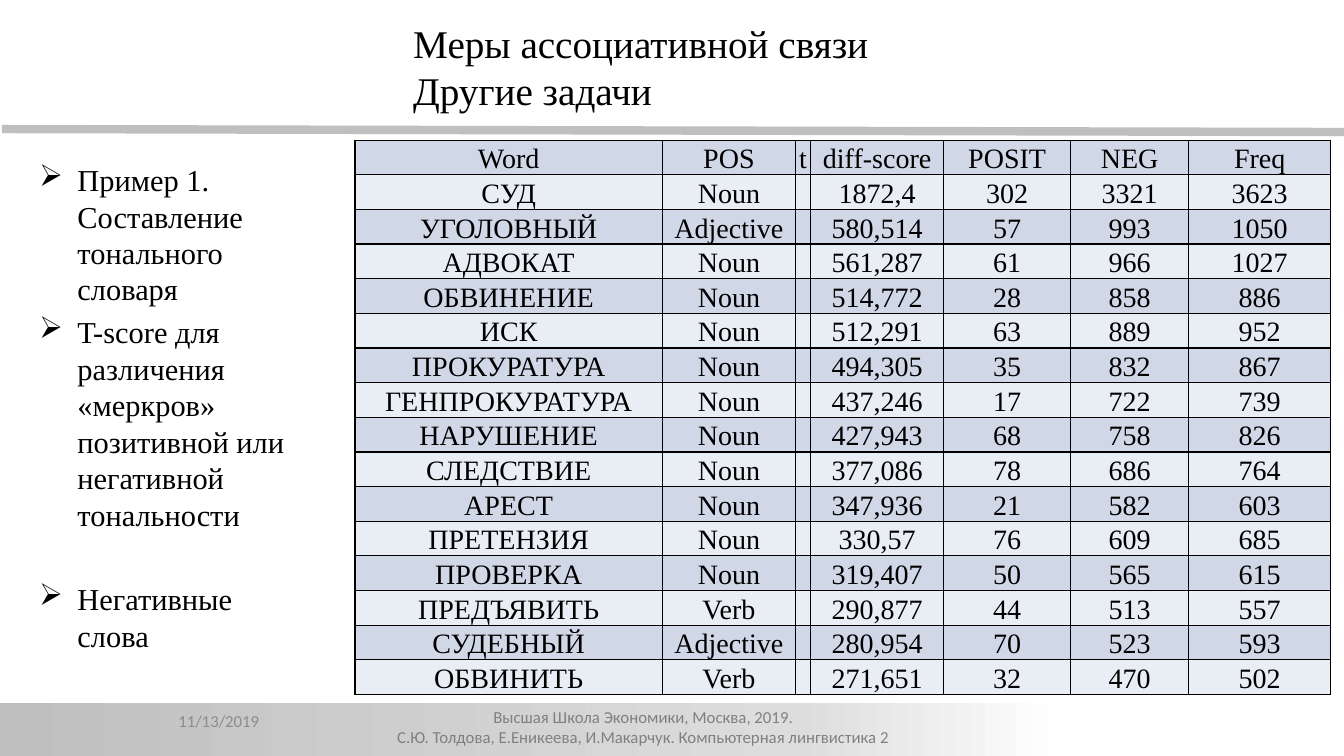
from copy import deepcopy

from lxml.etree import SubElement
from pptx import Presentation
from pptx.dml.color import RGBColor
from pptx.enum.shapes import MSO_CONNECTOR, MSO_SHAPE
from pptx.enum.text import MSO_ANCHOR, PP_ALIGN
from pptx.oxml.ns import qn
from pptx.util import Inches, Pt

COLORS = {
    "text": "000000",
    "rule": "BFBFBF",
    "band_middle": "DDDDDD",
    "band_end": "FFFFFF",
    "footer": "808080",
    "date": "8C8C8C",
    "odd_row": "D0D8E8",
    "even_row": "E9EDF4",
}
SERIF = "Times New Roman"
SANS = "Calibri"

COLUMN_WIDTHS = [3.05, 1.32, 0.15, 1.32, 1.26, 1.17, 1.41]
ROW_HEIGHT = 0.34
SCORES = [
    ("Word", "POS", "t", "diff-score", "POSIT", "NEG", "Freq"),
    ("СУД", "Noun", "", "1872,4", "302", "3321", "3623"),
    ("УГОЛОВНЫЙ", "Adjective", "", "580,514", "57", "993", "1050"),
    ("АДВОКАТ", "Noun", "", "561,287", "61", "966", "1027"),
    ("ОБВИНЕНИЕ", "Noun", "", "514,772", "28", "858", "886"),
    ("ИСК", "Noun", "", "512,291", "63", "889", "952"),
    ("ПРОКУРАТУРА", "Noun", "", "494,305", "35", "832", "867"),
    ("ГЕНПРОКУРАТУРА", "Noun", "", "437,246", "17", "722", "739"),
    ("НАРУШЕНИЕ", "Noun", "", "427,943", "68", "758", "826"),
    ("СЛЕДСТВИЕ", "Noun", "", "377,086", "78", "686", "764"),
    ("АРЕСТ", "Noun", "", "347,936", "21", "582", "603"),
    ("ПРЕТЕНЗИЯ", "Noun", "", "330,57", "76", "609", "685"),
    ("ПРОВЕРКА", "Noun", "", "319,407", "50", "565", "615"),
    ("ПРЕДЪЯВИТЬ", "Verb", "", "290,877", "44", "513", "557"),
    ("СУДЕБНЫЙ", "Adjective", "", "280,954", "70", "523", "593"),
    ("ОБВИНИТЬ", "Verb", "", "271,651", "32", "470", "502"),
]


def rgb(name):
    return RGBColor.from_string(COLORS[name])


class SlideBuilder:
    def __init__(self, slide):
        self.slide = slide

    def style(self, paragraph, size, font=SERIF, color="text", align=PP_ALIGN.LEFT):
        paragraph.alignment = align
        paragraph.font.size = Pt(size)
        paragraph.font.name = font
        paragraph.font.color.rgb = rgb(color)

    def rule(self, start, end, width):
        line = self.slide.shapes.add_connector(
            MSO_CONNECTOR.STRAIGHT, *map(Inches, start + end))
        line.line.color.rgb = rgb("rule")
        line.line.width = Pt(width)
        SubElement(line._element.spPr, qn("a:effectLst"))

    def gradient_band(self, place, stops):
        band = self.slide.shapes.add_shape(MSO_SHAPE.RECTANGLE, *map(Inches, place))
        band.shadow.inherit = False
        band.line.fill.background()
        band.fill.gradient()
        band.fill.gradient_angle = 0
        stop_list = band._element.spPr.find(".//" + qn("a:gsLst"))
        stop_list.append(deepcopy(stop_list[0]))
        for stop, (position, color) in zip(band.fill.gradient_stops, stops):
            stop.position = position
            stop.color.rgb = rgb(color)

    def text(self, place, lines, size, anchor=MSO_ANCHOR.TOP, **look):
        frame = self.slide.shapes.add_textbox(*map(Inches, place)).text_frame
        frame.word_wrap = True
        frame.vertical_anchor = anchor
        frame.text = "\n".join(lines)
        for paragraph in frame.paragraphs:
            self.style(paragraph, size, **look)
        return frame

    def bullets(self, place, items, size, indent):
        frame = self.text(place, [item for item, _ in items], size)
        for paragraph, (_, gap) in zip(frame.paragraphs, items):
            properties = paragraph._p.get_or_add_pPr()
            properties.set("marL", str(Inches(indent)))
            properties.set("indent", str(-Inches(indent)))
            bullet = properties.makeelement(qn("a:buChar"), {"char": "➢"})
            properties.insert(0, bullet)
            if gap:
                paragraph.space_before = Pt(gap)

    def borders(self, cell):
        properties = cell._tc.get_or_add_tcPr()
        for index, side in enumerate(("lnL", "lnR", "lnT", "lnB")):
            border = properties.makeelement(qn("a:" + side), {"w": str(Pt(1))})
            fill = SubElement(border, qn("a:solidFill"))
            SubElement(fill, qn("a:srgbClr"), val=COLORS["text"])
            properties.insert(index, border)

    def table(self, left, top, rows, widths, row_height, size):
        table = self.slide.shapes.add_table(
            len(rows), len(widths), Inches(left), Inches(top),
            Inches(sum(widths)), Inches(row_height * len(rows))).table
        for column, width in zip(table.columns, widths):
            column.width = Inches(width)
        for row_index, values in enumerate(rows):
            table.rows[row_index].height = Inches(row_height)
            for column_index, value in enumerate(values):
                cell = table.cell(row_index, column_index)
                cell.text = value
                cell.margin_left = cell.margin_right = cell.margin_top = Inches(0.01)
                cell.margin_bottom = 0
                cell.vertical_anchor = MSO_ANCHOR.BOTTOM
                cell.fill.solid()
                cell.fill.fore_color.rgb = rgb("even_row" if row_index % 2 else "odd_row")
                self.borders(cell)
                paragraph = cell.text_frame.paragraphs[0]
                self.style(paragraph, size, align=PP_ALIGN.CENTER)
                paragraph.font.bold = False


def main():
    presentation = Presentation()
    presentation.slide_width = Inches(13.33)
    presentation.slide_height = Inches(7.5)
    page = SlideBuilder(presentation.slides.add_slide(presentation.slide_layouts[6]))

    page.rule((0.02, 1.28), (13.35, 1.31), 6)
    page.gradient_band(
        (-0.01, 6.97, 10.56, 0.57),
        [(0, "rule"), (0.75, "band_middle"), (1, "band_end")])
    page.text(
        (2.54, 6.96, 7.68, 0.45),
        ["Высшая Школа Экономики, Москва, 2019.",
         "С.Ю. Толдова, Е.Еникеева, И.Макарчук. Компьютерная лингвистика 2"],
        12, font=SANS, color="footer", align=PP_ALIGN.CENTER)
    page.bullets(
        (0.29, 1.55, 2.76, 4.57),
        [("Пример 1. Составление тонального словаря", 0),
         ("T-score для различения «меркров» позитивной или негативной тональности", 4.5),
         ("Негативные слова", 34.5)],
        21.7, 0.38)
    page.text((1.67, 6.95, 2.33, 0.4), ["11/13/2019"], 12,
              anchor=MSO_ANCHOR.MIDDLE, font=SANS, color="date")
    page.text((4, 0.14, 5.83, 1.04),
              ["Меры ассоциативной связи", "Другие задачи"], 28)
    page.table(3.52, 1.39, SCORES, COLUMN_WIDTHS, ROW_HEIGHT, 20)
    presentation.save("out.pptx")


if __name__ == "__main__":
    main()
